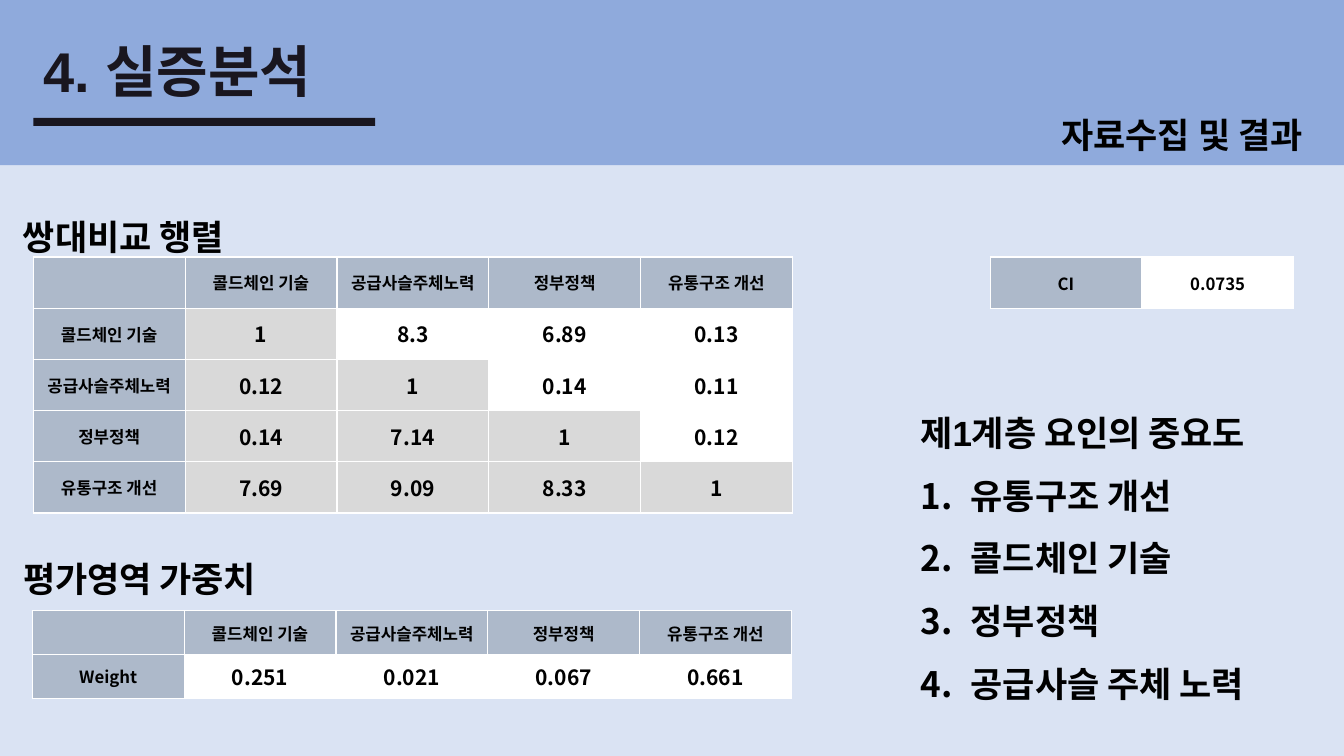
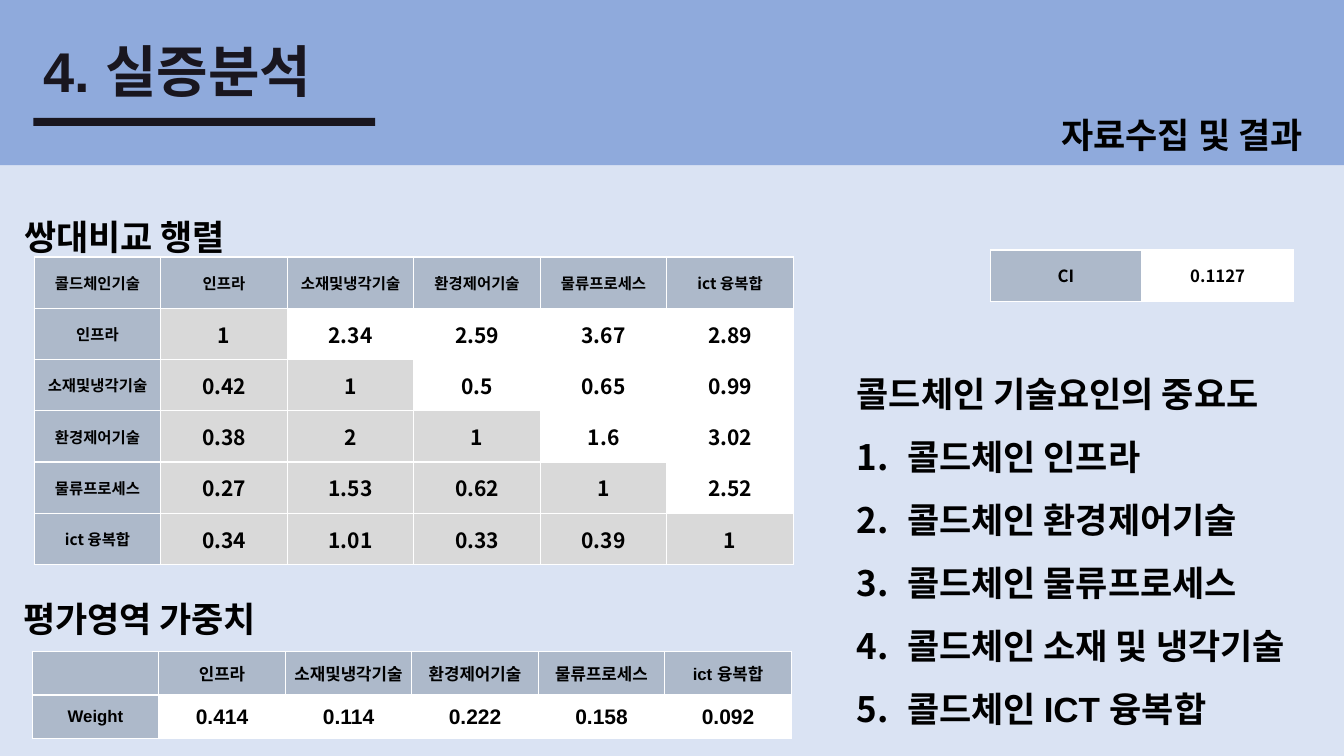
from lxml.etree import SubElement as Sub
from pptx import Presentation
from pptx.dml.color import RGBColor as Rgb
from pptx.enum.shapes import MSO_SHAPE as Shape
from pptx.enum.text import MSO_ANCHOR as Anchor, MSO_AUTO_SIZE as Fit, PP_ALIGN as Align
from pptx.oxml.ns import qn
from pptx.util import Inches, Pt

PALE, BAND, INK, BLACK = "DAE3F3", "8FAADC", "19161F", "000000"
HEAD, LOWER, WHITE = "ADB9CA", "D9D9D9", "FFFFFF"
LATIN, HANGUL = "Arial", "Noto Sans CJK KR"


def color(value):
    return Rgb.from_string(value)


def style(para, size, face=LATIN, ink=BLACK):
    for run in para.runs:
        font = run.font
        font.size, font.bold, font.name = Pt(size), True, face
        font.color.rgb = color(ink)
        Sub(run._r.get_or_add_rPr(), qn("a:ea"), typeface=HANGUL)


def number(para):
    props = para._p.get_or_add_pPr()
    props.set("marL", str(Inches(0.5)))
    props.set("indent", str(-Inches(0.5)))
    Sub(props, qn("a:buFont"), typeface=HANGUL)
    Sub(props, qn("a:buAutoNum"), type="arabicPeriod")


def add_bar(slide, box, fill):
    bar = slide.shapes.add_shape(Shape.RECTANGLE, *map(Inches, box))
    bar.shadow.inherit = False
    bar.fill.solid()
    bar.fill.fore_color.rgb = color(fill)
    bar.line.fill.background()


def add_text(slide, box, lines, size=25, ink=BLACK, gap=1.5):
    frame = slide.shapes.add_textbox(*map(Inches, box)).text_frame
    frame.word_wrap = False
    frame.auto_size = Fit.SHAPE_TO_FIT_TEXT
    frame.text = "\n".join(lines)
    for index, para in enumerate(frame.paragraphs):
        para.line_spacing = gap
        if index:
            number(para)
        style(para, size, ink=ink)


def set_cell(cell, text, fill, size, face):
    cell.margin_left = cell.margin_right = cell.margin_top = cell.margin_bottom = 0
    cell.vertical_anchor = Anchor.MIDDLE
    props = cell._tc.get_or_add_tcPr()
    for side in ("lnL", "lnR", "lnT", "lnB"):
        line = Sub(props, qn("a:" + side), w=str(Pt(1)))
        Sub(Sub(line, qn("a:solidFill")), qn("a:srgbClr"), val=WHITE)
    cell.fill.solid()
    cell.fill.fore_color.rgb = color(fill)
    cell.text = text
    para = cell.text_frame.paragraphs[0]
    para.alignment = Align.CENTER
    style(para, size, face)


def add_grid(slide, box, rows, small=12, large=15, face=HANGUL, shade=False, top=True):
    shape = slide.shapes.add_table(len(rows), len(rows[0]), *map(Inches, box))
    table = shape.table
    table.first_row = table.horz_banding = False
    for r, row in enumerate(rows):
        for c, text in enumerate(row):
            head = c == 0 or (top and r == 0)
            fill = HEAD if head else LOWER if shade and c <= r else WHITE
            set_cell(table.cell(r, c), text, fill, small if head else large, face)


def add_frame(slide):
    slide.background.fill.solid()
    slide.background.fill.fore_color.rgb = color(PALE)
    add_bar(slide, (0, 0, 13.33, 1.64), BAND)
    add_text(slide, (0.33, 0.31, 3.12, 0.77), ["4. 실증분석"], 40, INK, 1)
    add_bar(slide, (0.33, 1.17, 3.39, 0.08), INK)
    add_text(slide, (10.43, 0.87, 2.9, 0.65), ["자료수집 및 결과"])


def add_matrix(slide, box, corner, names, values, small):
    left, top, width, height = box
    rows = [[corner, *names]]
    rows += [[name, *line.split()] for name, line in zip(names, values)]
    add_text(slide, (left - 0.2, top - 0.67, 2.43, 0.65), ["쌍대비교 행렬"])
    add_grid(slide, box, rows, small, shade=True)


def add_weights(slide, box, names, weights, face):
    left, top, width, height = box
    add_text(slide, (left - 0.19, top - 0.79, 2.78, 0.65), ["평가영역 가중치"])
    add_grid(slide, box, [["", *names], ["Weight", *weights.split()]], face=face)


def add_page(deck, page):
    slide = deck.slides.add_slide(deck.slide_layouts[6])
    names = page["names"]
    add_frame(slide)
    add_matrix(slide, (page["left"], 2.55, 7.53, page["tall"]),
               page["corner"], names, page["values"], page["small"])
    add_weights(slide, (0.32, page["low"], 7.53, 0.87), names, page["weights"], page["face"])
    add_grid(slide, (9.82, page["high"], 3.01, 0.51), [["CI", page["index"]]],
             large=12, top=False)
    add_text(slide, page["box"], page["ranks"])


PAGES = [
    dict(
        names=["콜드체인 기술", "공급사슬주체노력", "정부정책", "유통구조 개선"],
        corner="", left=0.33, tall=2.54, small=12,
        values=["1 8.3 6.89 0.13", "0.12 1 0.14 0.11",
                "0.14 7.14 1 0.12", "7.69 9.09 8.33 1"],
        low=6.06, weights="0.251 0.021 0.067 0.661", face=HANGUL,
        high=2.55, index="0.0735", box=(9.03, 3.82, 3.81, 3.18),
        ranks=["제1계층 요인의 중요도", "유통구조 개선", "콜드체인 기술",
               "정부정책", "공급사슬 주체 노력"],
    ),
    dict(
        names=["인프라", "소재및냉각기술", "환경제어기술", "물류프로세스", "ict 융복합"],
        corner="콜드체인기술", left=0.34, tall=3.05, small=11,
        values=["1 2.34 2.59 3.67 2.89", "0.42 1 0.5 0.65 0.99",
                "0.38 2 1 1.6 3.02", "0.27 1.53 0.62 1 2.52",
                "0.34 1.01 0.33 0.39 1"],
        low=6.46, weights="0.414 0.114 0.222 0.158 0.092", face=LATIN,
        high=2.48, index="0.1127", box=(8.4, 3.44, 4.93, 3.81),
        ranks=["콜드체인 기술요인의 중요도", "콜드체인 인프라", "콜드체인 환경제어기술",
               "콜드체인 물류프로세스", "콜드체인 소재 및 냉각기술", "콜드체인 ICT 융복합"],
    ),
]


def main():
    deck = Presentation()
    deck.slide_width, deck.slide_height = Inches(13.33), Inches(7.5)
    for page in PAGES:
        add_page(deck, page)
    deck.save("out.pptx")


if __name__ == "__main__":
    main()
